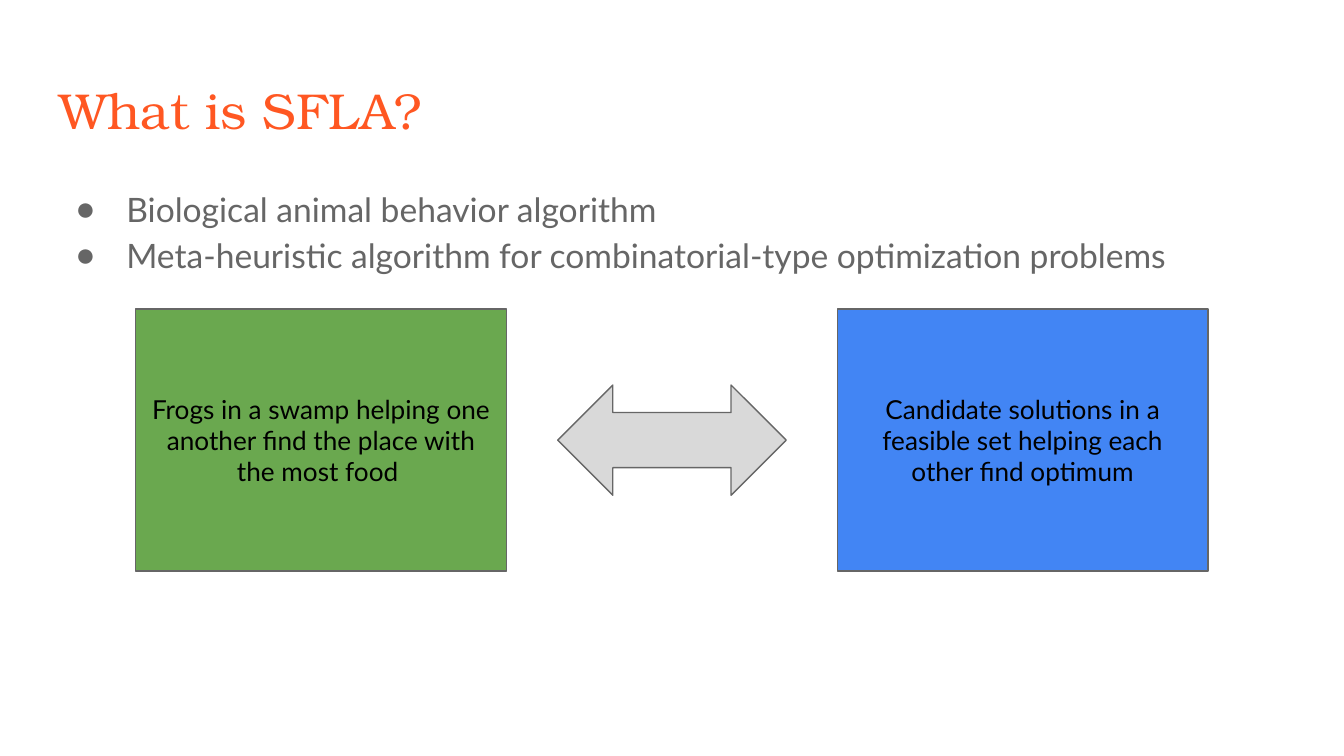
from lxml import etree
from pptx import Presentation
from pptx.dml.color import RGBColor
from pptx.enum.shapes import MSO_SHAPE as Shape
from pptx.enum.text import MSO_ANCHOR as Anchor, MSO_AUTO_SIZE as AutoSize, PP_ALIGN as Align
from pptx.oxml.ns import qn
from pptx.util import Inches, Pt

ORANGE = RGBColor(0xFF, 0x57, 0x22)
GRAY = RGBColor(0x66, 0x66, 0x66)
LIGHT_GRAY = RGBColor(0xD9, 0xD9, 0xD9)
GREEN = RGBColor(0x6A, 0xA8, 0x4F)
BLUE = RGBColor(0x42, 0x85, 0xF4)
BLACK = RGBColor(0, 0, 0)
TITLE_FONT, BODY_FONT = "TeX Gyre Bonum", "Lato"


def place(shape, left, top, width, height):
    shape.left, shape.top = Inches(left), Inches(top)
    shape.width, shape.height = Inches(width), Inches(height)


def prepare_frame(frame, anchor):
    frame.word_wrap = True
    frame.auto_size = AutoSize.NONE
    frame.vertical_anchor = anchor
    frame.margin_left = frame.margin_right = Inches(0.1)
    frame.margin_top = frame.margin_bottom = Inches(0.1)


def add_run(paragraph, text, font_name, size, color):
    run = paragraph.add_run()
    run.text = text
    run.font.name = font_name
    run.font.size = Pt(size)
    run.font.color.rgb = color


def add_bullet(paragraph, color):
    properties = paragraph._p.get_or_add_pPr()
    properties.set("marL", str(Inches(0.5)))
    properties.set("indent", str(Inches(-0.38)))
    bullet_color = etree.SubElement(properties, qn("a:buClr"))
    etree.SubElement(bullet_color, qn("a:srgbClr"), val=str(color))
    etree.SubElement(properties, qn("a:buChar"), char="●")


def fill_title(title, box, text):
    place(title, *box)
    prepare_frame(title.text_frame, Anchor.TOP)
    paragraph = title.text_frame.paragraphs[0]
    paragraph.alignment = Align.LEFT
    add_run(paragraph, text, TITLE_FONT, 27, ORANGE)


def fill_list(body, box, items):
    place(body, *box)
    frame = body.text_frame
    prepare_frame(frame, Anchor.TOP)
    for index, item in enumerate(items):
        paragraph = frame.add_paragraph() if index else frame.paragraphs[0]
        add_bullet(paragraph, GRAY)
        paragraph.line_spacing = 1.15
        paragraph.space_before = Pt(0)
        add_run(paragraph, item, BODY_FONT, 18, GRAY)


def add_outlined_shape(slide, kind, box, fill):
    shape = slide.shapes.add_shape(kind, *map(Inches, box))
    shape.shadow.inherit = False
    shape.fill.solid()
    shape.fill.fore_color.rgb = fill
    shape.line.color.rgb = GRAY
    shape.line.width = Pt(0.75)
    return shape


def add_analogy(slide, box, cards):
    """Two cards at the ends of the box, with a double arrow between them."""
    left, top, width, height = box
    card_width, arrow_width, arrow_height = 2.76, 1.7, 0.82

    # Cards
    for index, (text, fill) in enumerate(cards):
        card_left = left + index * (width - card_width)
        card = add_outlined_shape(slide, Shape.RECTANGLE,
                                  (card_left, top, card_width, height), fill)
        prepare_frame(card.text_frame, Anchor.MIDDLE)
        paragraph = card.text_frame.paragraphs[0]
        paragraph.alignment = Align.CENTER
        add_run(paragraph, text, BODY_FONT, 14, BLACK)

    # Double arrow, centred in the box
    arrow_box = (left + (width - arrow_width) / 2, top + (height - arrow_height) / 2,
                 arrow_width, arrow_height)
    add_outlined_shape(slide, Shape.LEFT_RIGHT_ARROW, arrow_box, LIGHT_GRAY)


def main():
    presentation = Presentation()
    presentation.slide_width = Inches(10)
    presentation.slide_height = Inches(10 * 9 / 16)
    slide = presentation.slides.add_slide(presentation.slide_layouts[1])

    fill_title(slide.shapes.title, (0.34, 0.49, 9.32, 0.63), "What is SFLA?")
    fill_list(slide.placeholders[1], (0.34, 1.26, 9.32, 3.74), [
        "Biological animal behavior algorithm",
        "Meta-heuristic algorithm for combinatorial-type optimization problems",
    ])
    add_analogy(slide, (1.01, 2.3, 7.98, 1.95), [
        ("Frogs in a swamp helping one another find the place with the most food ", GREEN),
        ("Candidate solutions in a feasible set helping each other find optimum", BLUE),
    ])
    presentation.save("out.pptx")


if __name__ == "__main__":
    main()
